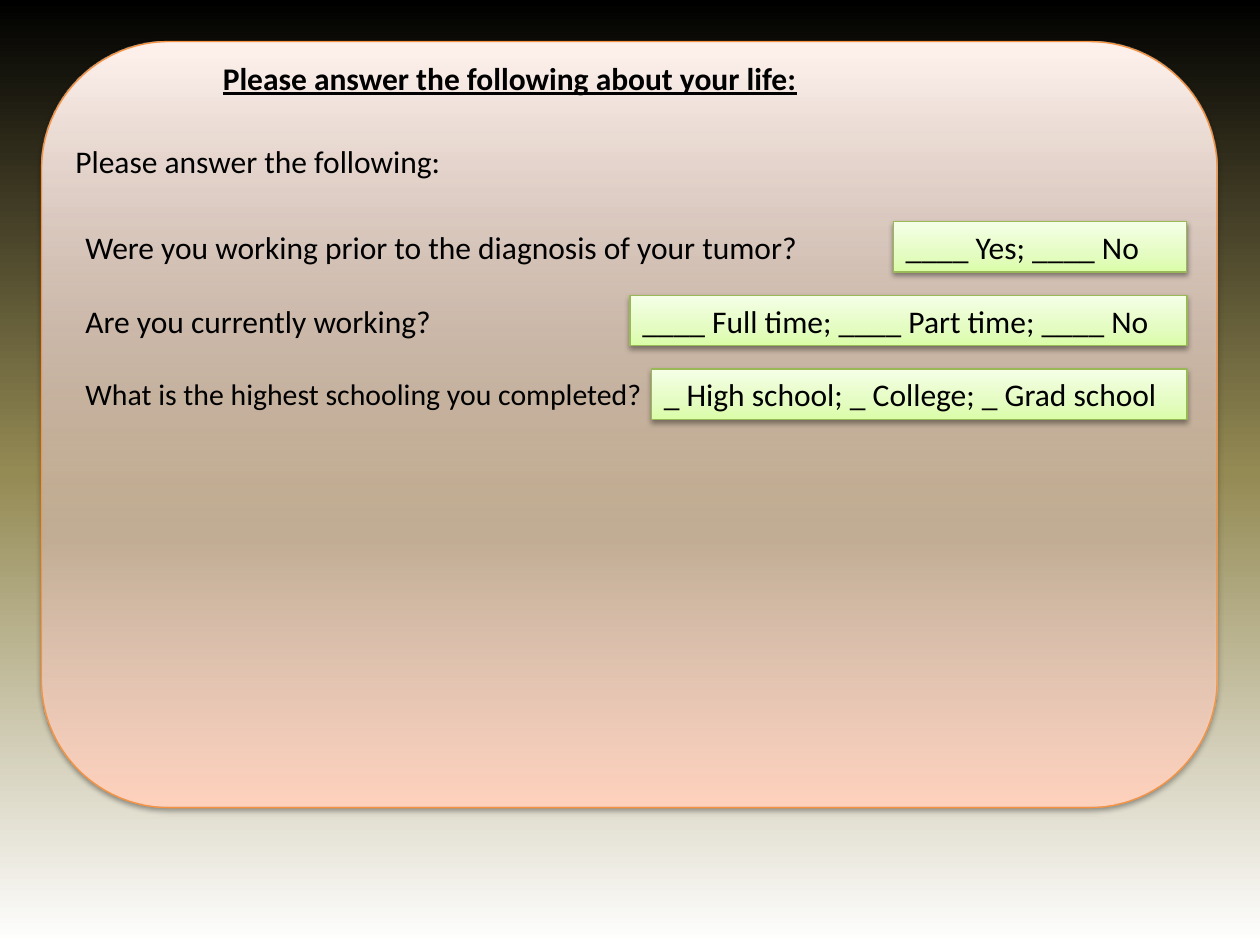
"""Builds a questionnaire slide about work and schooling."""
from lxml import etree
from pptx import Presentation
from pptx.dml.color import RGBColor
from pptx.enum.shapes import MSO_SHAPE
from pptx.enum.text import MSO_ANCHOR, MSO_AUTO_SIZE, PP_ALIGN
from pptx.oxml.ns import qn
from pptx.util import Inches, Pt

ROUNDED, RECTANGLE = MSO_SHAPE.ROUNDED_RECTANGLE, MSO_SHAPE.RECTANGLE
TOP, LEFT, GROW = MSO_ANCHOR.TOP, PP_ALIGN.LEFT, MSO_AUTO_SIZE.SHAPE_TO_FIT_TEXT

COLORS = {
    "text": "000000", "shadow": "000000",
    "panel_line": "F69240", "answer_line": "98B955",
}
BACKDROP = [(0, "000000", 100), (50, "948A54", 100), (100, "FFFFFF", 100)]
PANEL = [(0, "FFD2BD", 100), (35, "FFDED0", 50), (100, "FFF2ED", 100)]
ANSWER = [(0, "DAFDA7", 100), (35, "E4FCC2", 100), (100, "F5FFE7", 100)]

TITLE = "Please answer the following about your life:"
PROMPT = "Please answer the following:"
QUESTIONS = [
    ("Were you working prior to the diagnosis of your tumor?", 6.33, 18,
     "____ Yes; ____ No", 2.33),
    ("Are you currently working?", 5.92, 18,
     "____ Full time; ____ Part time; ____ No", 4.42),
    ("What is the highest schooling you completed?", 4.92, 17,
     "_ High school; _ College; _ Grad school", 4.25),
]
QUESTION_LEFT, ANSWER_RIGHT = 0.58, 9.42
FIRST_ROW, ROW_STEP, ROW_HEIGHT = 1.76, 0.585, 0.4


def add_color(parent, color, opacity):
    node = etree.SubElement(parent, qn("a:srgbClr"), val=color)
    if opacity < 100:
        etree.SubElement(node, qn("a:alpha"), val=str(opacity * 1000))


def set_gradient(fill, owner, stops, angle):
    fill.gradient()
    gradient = owner.element.find(".//" + qn("a:gradFill"))
    for child in list(gradient):
        gradient.remove(child)
    stop_list = etree.SubElement(gradient, qn("a:gsLst"))
    for position, color, opacity in stops:
        stop = etree.SubElement(stop_list, qn("a:gs"), pos=str(position * 1000))
        add_color(stop, color, opacity)
    etree.SubElement(gradient, qn("a:lin"), ang=str(angle * 60000), scaled="0")


def add_box(slide, kind, bounds, stops, line_color):
    box = slide.shapes.add_shape(kind, *map(Inches, bounds))
    set_gradient(box.fill, box, stops, 270)
    box.line.color.rgb = RGBColor.from_string(line_color)
    box.line.width = Pt(0.75)
    box.shadow.inherit = False
    effects = box.element.spPr.find(qn("a:effectLst"))
    shadow = etree.SubElement(
        effects, qn("a:outerShdw"), blurRad=str(Pt(3.1)), dist=str(Pt(1.6)),
        dir=str(90 * 60000), rotWithShape="0")
    add_color(shadow, COLORS["shadow"], 38)
    return box


def write_text(box, text, size=18, bold=False, underline=False):
    frame = box.text_frame
    frame.word_wrap = True
    frame.auto_size = GROW
    frame.vertical_anchor = TOP
    paragraph = frame.paragraphs[0]
    paragraph.alignment = LEFT
    run = paragraph.add_run()
    run.text = text
    run.font.name = "Calibri"
    run.font.size = Pt(size)
    run.font.bold = bold
    run.font.underline = underline
    run.font.color.rgb = RGBColor.from_string(COLORS["text"])


def add_label(slide, bounds, text, **text_format):
    write_text(slide.shapes.add_textbox(*map(Inches, bounds)), text, **text_format)


def main():
    deck = Presentation()
    deck.slide_width, deck.slide_height = Inches(10), Inches(7.5)
    slide = deck.slides.add_slide(deck.slide_layouts[6])
    set_gradient(slide.background.fill, slide, BACKDROP, 90)

    add_box(slide, ROUNDED, (0.33, 0.33, 9.33, 6.08), PANEL, COLORS["panel_line"])
    add_label(slide, (1.67, 0.42, 6.17, ROW_HEIGHT), TITLE, bold=True, underline=True)
    add_label(slide, (0.5, 1.08, 6.17, ROW_HEIGHT), PROMPT)

    for row, (question, question_width, size, choices, width) in enumerate(QUESTIONS):
        top = FIRST_ROW + row * ROW_STEP
        add_label(slide, (QUESTION_LEFT, top, question_width, ROW_HEIGHT),
                  question, size=size)
        answer = add_box(slide, RECTANGLE, (ANSWER_RIGHT - width, top, width, ROW_HEIGHT),
                         ANSWER, COLORS["answer_line"])
        write_text(answer, choices)

    deck.save("out.pptx")


if __name__ == "__main__":
    main()
